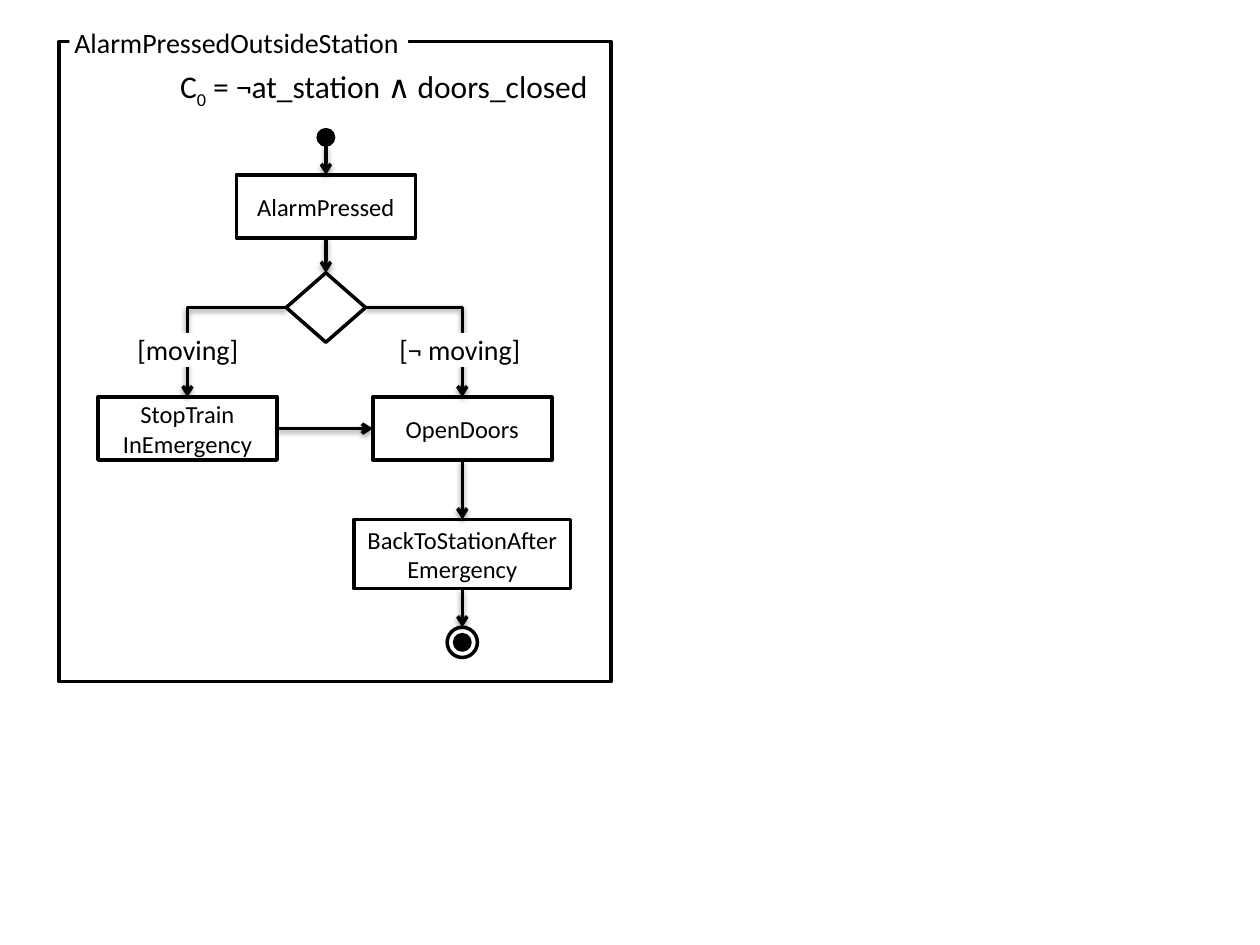
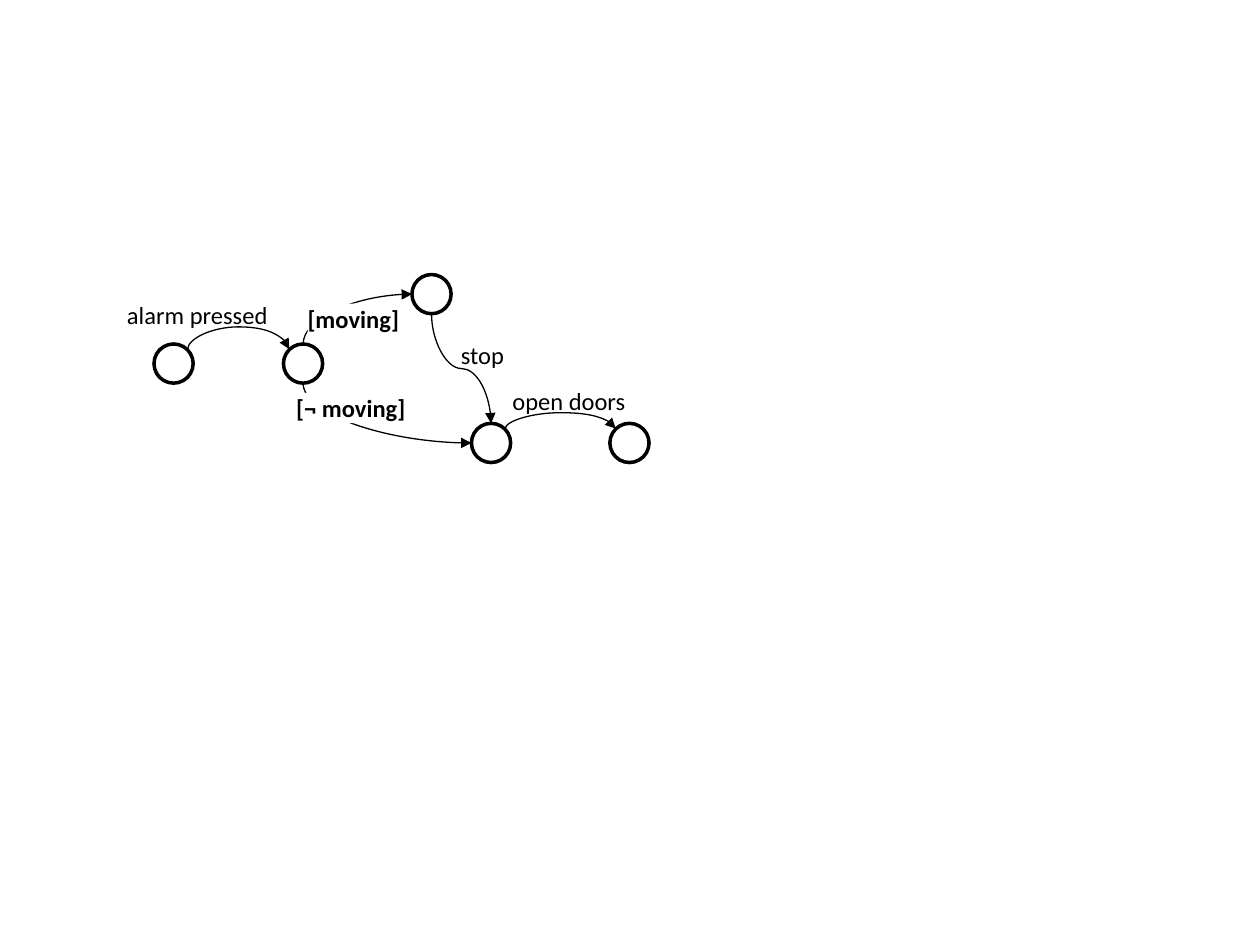
from dataclasses import dataclass
from math import sqrt
from lxml.etree import SubElement
from pptx import Presentation
from pptx.dml.color import RGBColor
from pptx.enum.shapes import MSO_CONNECTOR, MSO_SHAPE
from pptx.enum.text import MSO_ANCHOR, MSO_AUTO_SIZE, PP_ALIGN
from pptx.oxml.ns import qn
from pptx.util import Cm, Pt


@dataclass(frozen=True)
class Theme:
    ink: RGBColor = RGBColor(0, 0, 0)
    paper: RGBColor = RGBColor(255, 255, 255)
    font: str = "Calibri"
    node_size: int = 14
    guard_size: int = 16
    condition_size: int = 18
    heavy: float = 2
    thin: float = 0.75


THEME = Theme()
RECT, OVAL, DIAMOND = MSO_SHAPE.RECTANGLE, MSO_SHAPE.OVAL, MSO_SHAPE.DIAMOND

# Activity diagram: lengths in cm, nodes placed by their centres
FRAME = (1.19, 0.84, 11.13, 12.9)
LEFT, MIDDLE, RIGHT = 3.78, 6.57, 9.32
ACTION, WIDE_ACTION, DOT, RING = (3.61, 1.27), (4.37, 1.4), (0.31, 0.31), (0.61, 0.61)
ACTIVITY_NODES = {
    # name: (preset, centre x, centre y, size, filled, lines of text)
    "start": (OVAL, MIDDLE, 2.77, DOT, True, []),
    "alarm": (RECT, MIDDLE, 4.16, ACTION, False, ["AlarmPressed"]),
    "choice": (DIAMOND, MIDDLE, 6.2, (1.6, 1.4), False, []),
    "stop": (RECT, LEFT, 8.64, ACTION, False, ["StopTrain", "InEmergency"]),
    "open": (RECT, RIGHT, 8.64, ACTION, False, ["OpenDoors"]),
    "back": (RECT, RIGHT, 11.17, WIDE_ACTION, False, ["BackToStationAfter", "Emergency"]),
    "end": (OVAL, RIGHT, 12.95, RING, False, []),
    "end dot": (OVAL, RIGHT, 12.95, DOT, True, []),
}
ACTIVITY_LINKS = [
    ("start", "bottom", "alarm", "top"),
    ("alarm", "bottom", "choice", "top"),
    ("choice", "left", "stop", "top"),
    ("choice", "right", "open", "top"),
    ("stop", "right", "open", "left"),
    ("open", "bottom", "back", "top"),
    ("back", "bottom", "end", "top"),
]
# text, place, type size, bold, insets (side, top), filled
ACTIVITY_LABELS = [
    ([("[¬ moving]", 0)], (8.05, 6.71, 2.59, 0.69), THEME.guard_size, False, (0, 0), True),
    ([("[moving]", 0)], (2.77, 6.71, 2.06, 0.69), THEME.guard_size, False, (0, 0), True),
    ([("AlarmPressedOutsideStation", 0)], (1.4, 0.41, 6.83, 0.89), THEME.guard_size,
     False, (0.1, 0.1), True),
    ([("C", 0), ("0", -25000), (" = ¬at_station ∧ doors_closed", 0)],
     (3.38, 1.22, 8.92, 1.02), THEME.condition_size, False, (0.25, 0.13), False),
]

# Transition system
STATE = (0.79, 0.79)
STATE_CENTRES = {
    "idle": (3.5, 7.33),
    "pressed": (6.11, 7.33),
    "moving": (8.7, 5.93),
    "stopped": (9.9, 8.93),
    "opened": (12.69, 8.93),
}
STATE_NODES = {name: (OVAL, x, y, STATE, False, []) for name, (x, y) in STATE_CENTRES.items()}
STATE_LINKS = [
    # source, side, target, side, height of the hump
    ("pressed", "top", "moving", "left", 0),
    ("pressed", "bottom", "stopped", "left", 0),
    ("idle", "top right", "pressed", "top left", 0.46),
    ("moving", "bottom", "stopped", "top", 0),
    ("stopped", "top right", "opened", "top left", 0.33),
]
STATE_LABELS = [
    ([(text, 0)], place, THEME.node_size, bold, insets, bold)
    for text, place, bold, insets in [
        ("[moving]", (6.2, 6.12, 1.85, 0.61), True, (0, 0)),
        ("[¬ moving]", (5.97, 7.92, 2.31, 0.61), True, (0, 0)),
        ("alarm pressed", (2.31, 5.92, 3.43, 0.86), False, (0.25, 0.13)),
        ("stop", (9.04, 6.73, 1.4, 0.86), False, (0.25, 0.13)),
        ("open doors", (10.08, 7.65, 2.82, 0.86), False, (0.25, 0.13)),
    ]
]

# Connection sites: index on an ellipse, then direction from the centre
DIAGONAL = 1 / sqrt(2)
SITES = {
    "top": (0, 0, -1), "top left": (1, -DIAGONAL, -DIAGONAL), "left": (2, -1, 0),
    "bottom": (4, 0, 1), "right": (6, 1, 0), "top right": (7, DIAGONAL, -DIAGONAL),
}


def add_span(para, text, size, bold=False, baseline=0):
    span = para.add_run()
    span.text = text
    span.font.name, span.font.size, span.font.bold = THEME.font, Pt(size), bold
    span.font.color.rgb = THEME.ink
    if baseline:
        span.font._element.set("baseline", str(baseline))


def add_outlined(page, preset, place, fill):
    shape = page.shapes.add_shape(preset, *map(Cm, place))
    shape.shadow.inherit = False
    shape.fill.solid()
    shape.fill.fore_color.rgb = fill
    shape.line.color.rgb = THEME.ink
    shape.line.width = Pt(THEME.heavy)
    return shape


def add_node(page, preset, x, y, size, filled, lines):
    width, height = size
    place = (x - width / 2, y - height / 2, width, height)
    shape = add_outlined(page, preset, place, THEME.ink if filled else THEME.paper)
    if lines:
        shape.text_frame.vertical_anchor = MSO_ANCHOR.MIDDLE
        para = shape.text_frame.paragraphs[0]
        para.alignment = PP_ALIGN.CENTER
        for number, line in enumerate(lines):
            if number:
                para.add_line_break()
            add_span(para, line, THEME.node_size)
    return shape


def add_label(page, spans, place, size, bold, insets, filled):
    box = page.shapes.add_textbox(*map(Cm, place))
    if filled:
        box.fill.solid()
        box.fill.fore_color.rgb = THEME.paper
    frame = box.text_frame
    frame.word_wrap = False
    frame.auto_size = MSO_AUTO_SIZE.SHAPE_TO_FIT_TEXT
    frame.margin_left = frame.margin_right = Cm(insets[0])
    frame.margin_top = frame.margin_bottom = Cm(insets[1])
    for text, baseline in spans:
        add_span(frame.paragraphs[0], text, size, bold, baseline)


def site_point(node, side):
    _, x, y, (width, height), _, _ = node
    _, across, down = SITES[side]
    return x + across * width / 2, y + down * height / 2


def style_link(link, width, head, shadow):
    link.line.color.rgb = THEME.ink
    link.line.width = Pt(width)
    SubElement(link.line._get_or_add_ln(), qn("a:tailEnd"), type=head)
    effects = SubElement(link._element.spPr, qn("a:effectLst"))
    if shadow:
        outer = SubElement(effects, qn("a:outerShdw"), blurRad="40000", dist="20000",
                           dir="5400000", rotWithShape="0")
        colour = SubElement(outer, qn("a:srgbClr"), val=str(THEME.ink))
        SubElement(colour, qn("a:alpha"), val="38000")


def glue(link, ends):
    """Tie both ends of a link to sites; other presets have half as many as an ellipse."""
    holder = link._element.find(".//" + qn("p:cNvCxnSpPr"))
    for tag, (shape, preset, side) in zip(("a:stCxn", "a:endCxn"), ends):
        index = SITES[side][0] if preset == OVAL else SITES[side][0] // 2
        SubElement(holder, qn(tag), id=str(shape.shape_id), idx=str(index))


def set_geometry(link, preset, adjust=None):
    geometry = link._element.spPr.find(qn("a:prstGeom"))
    geometry.set("prst", preset)
    if adjust is not None:
        guides = geometry.find(qn("a:avLst"))
        SubElement(guides, qn("a:gd"), name="adj1", fmla=f"val {round(adjust * 100000)}")


def add_arrow(page, start, end):
    """Straight when the ends line up, otherwise across and then down."""
    aligned = any(abs(a - b) < 0.01 for a, b in zip(start, end))
    kind = MSO_CONNECTOR.STRAIGHT if aligned else MSO_CONNECTOR.ELBOW
    link = page.shapes.add_connector(kind, *map(Cm, start + end))
    if not aligned:
        set_geometry(link, "bentConnector2")
    style_link(link, THEME.heavy, "arrow", True)
    return link


def add_curve(page, start, end, turns, hump):
    """Leaves vertically: a horizontal curve turned by a quarter about its centre."""
    (x1, y1), (x2, y2) = start, end
    if hump:
        y2 = y1 - 0.01
    run, rise = abs(y2 - y1), abs(x2 - x1)
    x, y = (x1 + x2 - run) / 2, (y1 + y2 - rise) / 2
    link = page.shapes.add_connector(MSO_CONNECTOR.CURVE, *map(Cm, (x, y, x + run, y + rise)))
    transform = link._element.spPr.find(qn("a:xfrm"))
    transform.set("rot", "5400000")
    transform.set("flipH", str(int(y2 < y1)))
    transform.set("flipV", str(int(x2 > x1)))
    adjust = hump / run if hump else 0.5
    set_geometry(link, f"curvedConnector{turns}", adjust if turns == 3 else None)
    style_link(link, THEME.thin, "triangle", False)
    return link


def draw_diagram(page, nodes, links, labels):
    shapes = {name: add_node(page, *node) for name, node in nodes.items()}
    for source, leave, target, enter, *hump in links:
        start, end = site_point(nodes[source], leave), site_point(nodes[target], enter)
        if hump:
            link = add_curve(page, start, end, 2 if enter == "left" else 3, hump[0])
        else:
            link = add_arrow(page, start, end)
        glue(link, [(shapes[source], nodes[source][0], leave),
                    (shapes[target], nodes[target][0], enter)])
    for label in labels:
        add_label(page, *label)


def main():
    deck = Presentation()
    deck.slide_width, deck.slide_height = Cm(25.4), Cm(19.05)
    blank = deck.slide_layouts[6]

    # Activity diagram inside its titled frame
    page = deck.slides.add_slide(blank)
    add_outlined(page, RECT, FRAME, THEME.paper)
    draw_diagram(page, ACTIVITY_NODES, ACTIVITY_LINKS, ACTIVITY_LABELS)

    # Transition system
    page = deck.slides.add_slide(blank)
    draw_diagram(page, STATE_NODES, STATE_LINKS, STATE_LABELS)
    deck.save("out.pptx")


if __name__ == "__main__":
    main()
